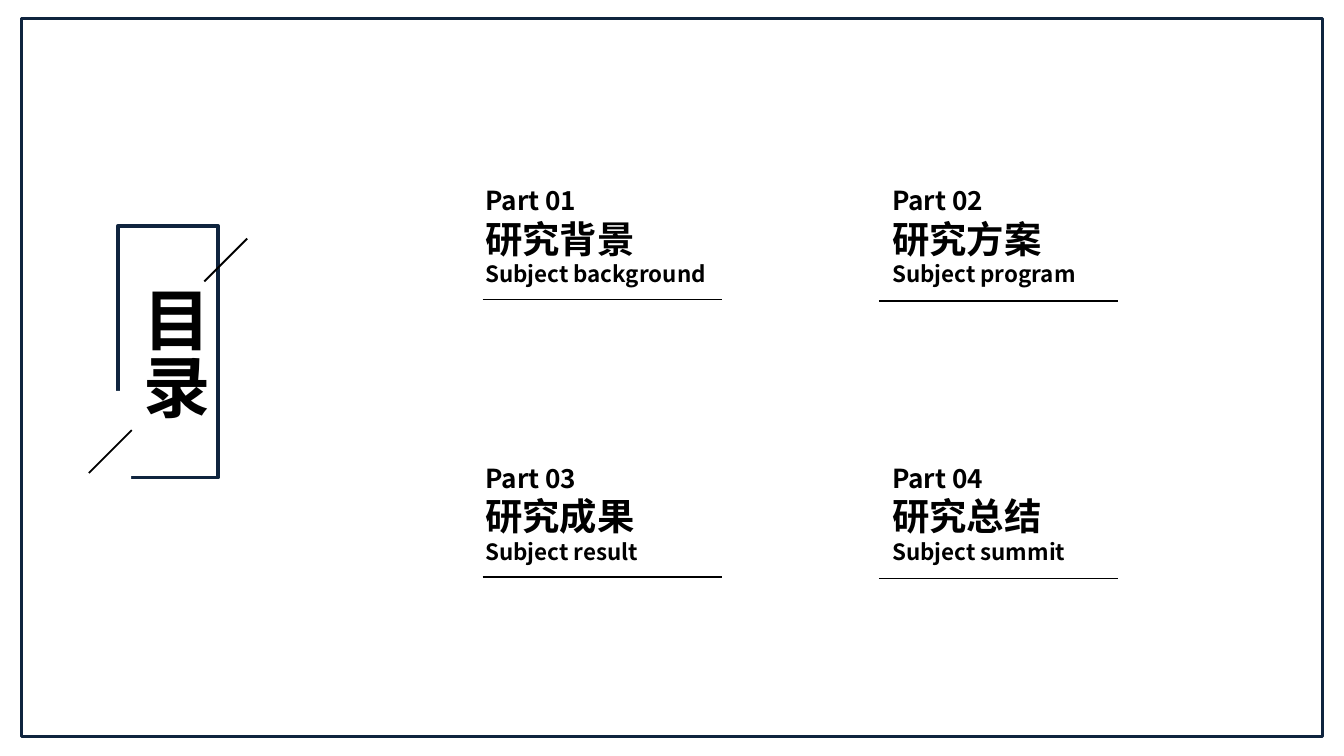
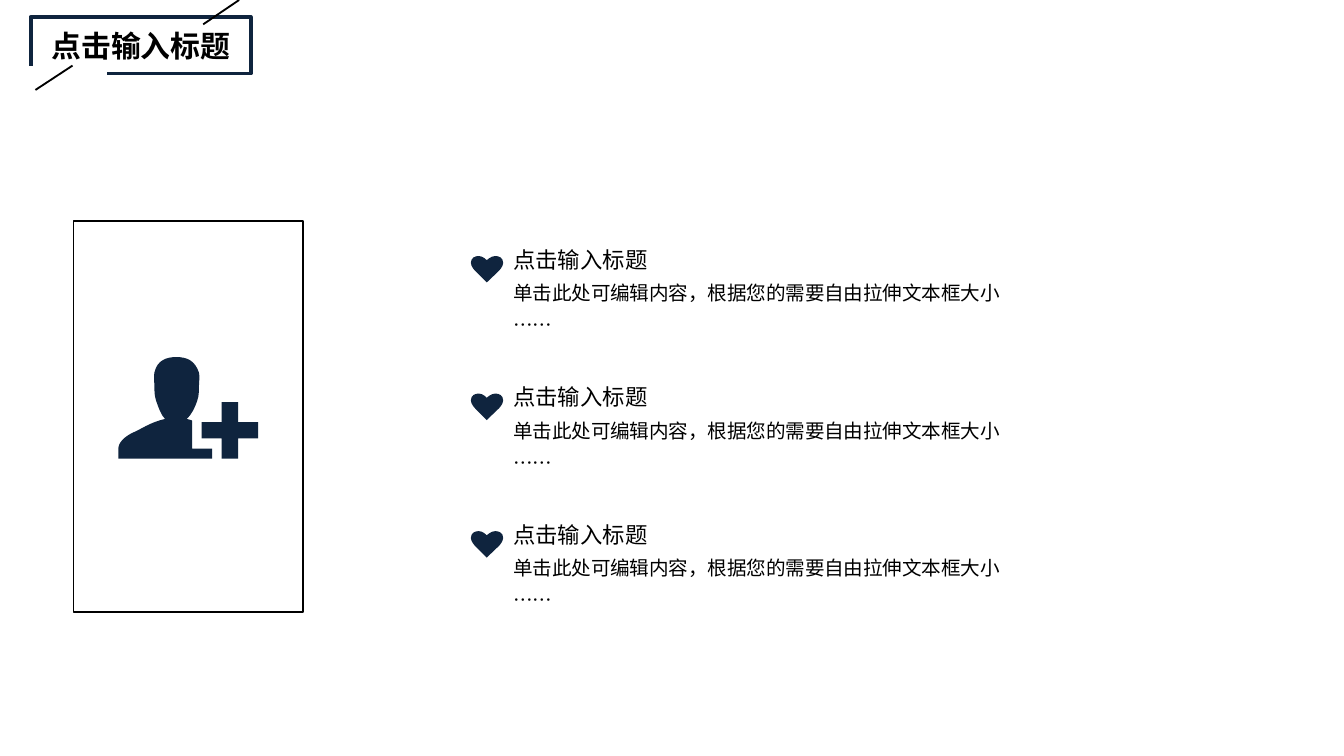
from lxml.etree import SubElement
from pptx import Presentation
from pptx.dml.color import RGBColor
from pptx.enum.shapes import MSO_CONNECTOR, MSO_SHAPE
from pptx.enum.text import MSO_ANCHOR, MSO_AUTO_SIZE, PP_ALIGN
from pptx.oxml.ns import qn
from pptx.util import Cm, Pt

NAVY, BLACK, WHITE = "0F243E", "000000", "FFFFFF"
CJK_FONT = "Noto Sans CJK SC"
TITLE_FONT = "Arial"

PARTS = [
    [("Part 01", "研究背景", "Subject background"),
     ("Part 02", "研究方案", "Subject program")],
    [("Part 03", "研究成果", "Subject result"),
     ("Part 04", "研究总结", "Subject summit")],
]
# Text left, text width, rule left, rule distance below the text top
PART_COLUMNS = [(8.92, 9.42, 9.12, 2.3), (16.61, 5.11, 16.61, 2.33)]
PART_TOP, PART_PITCH, RULE_LENGTH = 3.36, 5.25, 4.52

POINT_LINES = ("点击输入标题", "单击此处可编辑内容，根据您的需要自由拉伸文本框大小", "……")
POINT_COUNT, POINT_TOP, POINT_PITCH = 3, 4.55, 2.6

# Outlines in cm: one point per line, three points per Bezier curve
HEART = [
    (.46, 0),
    (.38, 0, .3, .08, .3, .08),
    (.3, .08, .23, 0, .15, 0),
    (.08, 0, 0, .03, 0, .13),
    (0, .2, .08, .28, .08, .28),
    (.3, .5),
    (.53, .28),
    (.53, .28, .61, .2, .61, .13),
    (.61, .03, .53, 0, .46, 0),
]
PERSON = [
    (4.01, 8.48), (3.63, 8.48), (3.63, 7.95),
    (3.61, 7.95, 3.58, 7.92, 3.53, 7.92),
    (3.61, 7.85, 3.68, 7.72, 3.73, 7.57),
    (3.76, 7.47, 3.76, 7.42, 3.76, 7.32),
    (3.76, 7.24, 3.78, 7.11, 3.76, 7.04),
    (3.68, 6.81, 3.53, 6.75, 3.33, 6.75),
    (3.15, 6.75, 2.97, 6.81, 2.92, 7.04),
    (2.9, 7.11, 2.92, 7.24, 2.92, 7.32),
    (2.92, 7.42, 2.92, 7.47, 2.95, 7.57),
    (3, 7.72, 3.05, 7.85, 3.12, 7.92),
    (2.84, 7.98, 2.64, 8.13, 2.51, 8.18),
    (2.24, 8.31, 2.24, 8.46, 2.24, 8.46),
    (2.24, 8.67), (4.01, 8.67),
]
PLUS = [
    (1.07, .38), (.69, .38), (.69, 0), (.38, 0), (.38, .38), (0, .38),
    (0, .69), (.38, .69), (.38, 1.07), (.69, 1.07), (.69, .69), (1.07, .69),
]


def rgb(value):
    return RGBColor.from_string(value)


def set_attributes(target, values):
    for name, value in values.items():
        setattr(target, name, value)


def paint(shape, fill=None, line=None, width=1):
    shape.shadow.inherit = False
    if fill:
        shape.fill.solid()
        shape.fill.fore_color.rgb = rgb(fill)
    else:
        shape.fill.background()
    if line:
        shape.line.color.rgb = rgb(line)
        shape.line.width = Pt(width)
    else:
        shape.line.fill.background()


def add_rectangle(slide, box, **look):
    rectangle = slide.shapes.add_shape(MSO_SHAPE.RECTANGLE, *map(Cm, box))
    paint(rectangle, **look)


def add_rule(slide, start, end, width=1):
    rule = slide.shapes.add_connector(
        MSO_CONNECTOR.STRAIGHT, *map(Cm, (*start, *end)))
    rule.line.color.rgb = rgb(BLACK)
    rule.line.width = Pt(width)
    SubElement(rule._element.spPr, qn("a:effectLst"))


def add_outline(slide, outline, left=0, top=0):
    """Draw a filled outline; each six-number segment becomes a curve."""
    points = [(Cm(left + x), Cm(top + y)) for segment in outline
              for x, y in zip(segment[::2], segment[1::2])]
    builder = slide.shapes.build_freeform(*points[0])
    builder.add_line_segments(points[1:], close=True)
    shape = builder.convert_to_shape()
    lines = iter(list(shape._element.iter(qn("a:lnTo"))))
    for segment in outline[1:]:
        first = next(lines)
        if len(segment) == 6:
            curve = SubElement(first.getparent(), qn("a:cubicBezTo"))
            first.addprevious(curve)
            for line in (first, next(lines), next(lines)):
                curve.append(line[0])
                line.getparent().remove(line)
    paint(shape, fill=NAVY)


def write(paragraph, text, size, bold=False, font=CJK_FONT):
    run = paragraph.add_run()
    run.text = text
    set_attributes(run.font, {"size": Pt(size), "bold": bold, "name": font})
    run.font.color.rgb = rgb(BLACK)
    east_asian = SubElement(run.font._element, qn("a:ea"))
    east_asian.set("typeface", CJK_FONT)


def add_text(slide, box, lines, sizes, bold=False, frame_format=None,
             line_spacing=None, gap=0):
    frame = slide.shapes.add_textbox(*map(Cm, box)).text_frame
    set_attributes(frame, {"word_wrap": True, **(frame_format or {})})
    for number, (line, size) in enumerate(zip(lines, sizes)):
        paragraph = frame.add_paragraph() if number else frame.paragraphs[0]
        paragraph.line_spacing = line_spacing
        if number and gap:
            paragraph.space_before = Pt(gap)
        write(paragraph, line, size, bold)


def set_title(slide, text, box, size, align, vertical=False):
    title = slide.shapes.title
    set_attributes(title, dict(zip(("left", "top", "width", "height"),
                                   map(Cm, box))))
    frame = title.text_frame
    set_attributes(frame, {
        "word_wrap": True, "auto_size": MSO_AUTO_SIZE.NONE,
        "vertical_anchor": MSO_ANCHOR.TOP})
    if vertical:
        frame._txBody.bodyPr.set("vert", "eaVert")
        set_attributes(frame, {"margin_top": Cm(.25), "margin_bottom": Cm(.25),
                               "margin_left": Cm(.13),
                               "margin_right": Cm(.13)})
    frame.paragraphs[0].alignment = align
    write(frame.paragraphs[0], text, size, bold=True, font=TITLE_FONT)


def add_title_frame(slide, border, gap, strokes):
    """Draw a border broken at one corner, with two slanted strokes."""
    add_rectangle(slide, border, line=NAVY, width=2)
    add_rectangle(slide, gap, fill=WHITE)
    for start, end in strokes:
        add_rule(slide, start, end)


def build_contents(slide):
    add_rectangle(slide, (.41, .35, 24.59, 13.58), line=NAVY, width=1.5)
    add_title_frame(slide, (2.23, 4.27, 1.89, 4.76), (2.1, 7.39, .38, 2.31),
                    [((4.67, 4.51), (3.86, 5.32)),
                     ((2.49, 8.13), (1.68, 8.94))])
    set_title(slide, "目录", (2.13, 5.16, 2.06, 3.12), 36, PP_ALIGN.LEFT,
              vertical=True)
    for row, parts in enumerate(PARTS):
        top = PART_TOP + row * PART_PITCH
        for part, column in zip(parts, PART_COLUMNS):
            left, width, rule_left, rule_drop = column
            add_text(slide, (left, top, width, 2.31), part, (14, 20, 12),
                     bold=True)
            rule_top = top + rule_drop
            add_rule(slide, (rule_left, rule_top),
                     (rule_left + RULE_LENGTH, rule_top), .75)


def build_points(slide):
    add_title_frame(slide, (.58, .32, 4.16, 1.07), (0, 1.25, 2.02, .2),
                    [((4.52, 0), (3.84, .46)), ((1.37, 1.24), (.67, 1.7))])
    set_title(slide, "点击输入标题", (-.13, .4, 5.59, .94), 16,
              PP_ALIGN.CENTER)

    add_rectangle(slide, (1.39, 4.18, 4.34, 7.39), line=BLACK)
    add_outline(slide, PERSON)
    add_outline(slide, PLUS, 3.81, 7.6)

    no_margins = dict.fromkeys(
        ("margin_left", "margin_top", "margin_right", "margin_bottom"), 0)
    for number in range(POINT_COUNT):
        top = POINT_TOP + number * POINT_PITCH
        add_text(slide, (9.7, top, 12.47, 1.88), POINT_LINES,
                 (12, 10.5, 10.5), frame_format=no_margins,
                 line_spacing=1.2, gap=2)
        add_outline(slide, HEART, 8.9, top + .29)


def main():
    deck = Presentation()
    set_attributes(deck, {"slide_width": Cm(25.4), "slide_height": Cm(14.29)})
    title_only = deck.slide_layouts[5]
    for build in (build_contents, build_points):
        build(deck.slides.add_slide(title_only))
    deck.save("out.pptx")


if __name__ == "__main__":
    main()
